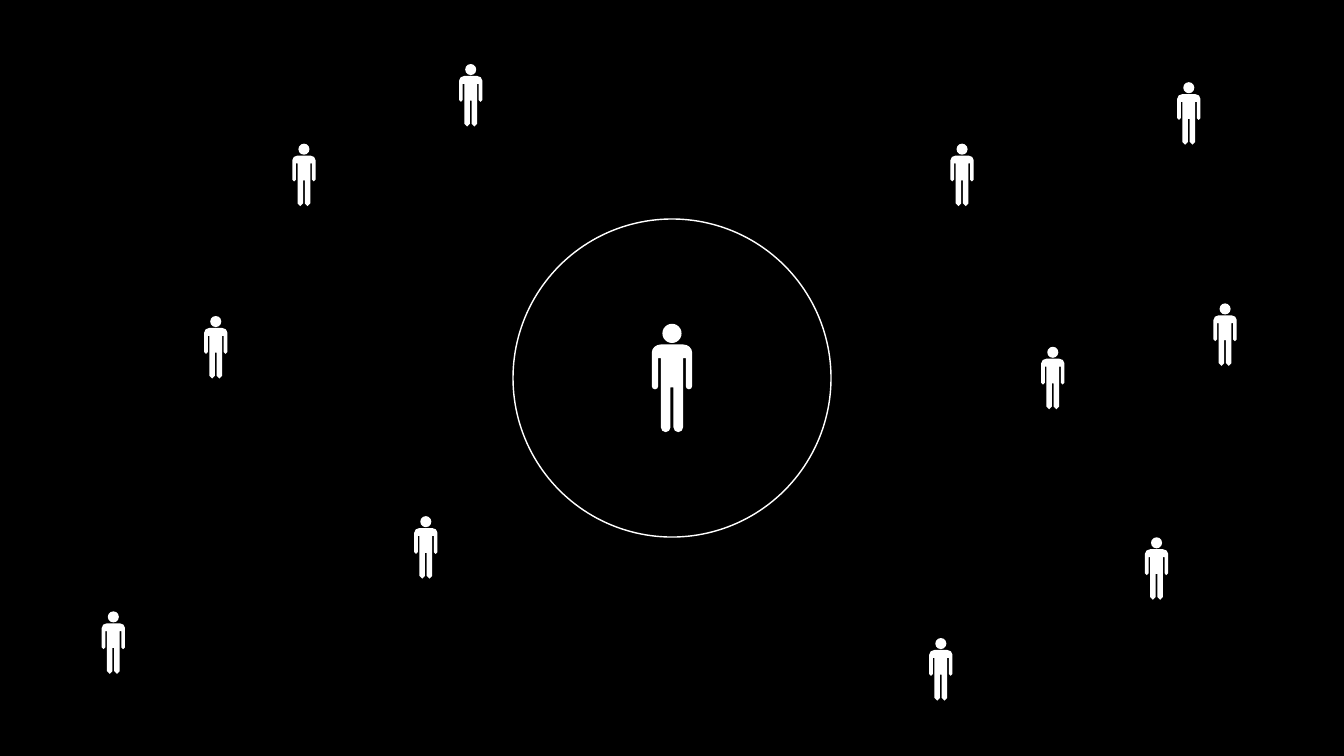
import math

import pptx
import pptx.dml.color
import pptx.enum.shapes
import pptx.util

WIDE = pptx.util.Inches(26.67)
HIGH = pptx.util.Inches(15)

# A person is drawn on a grid of 800 columns and 2150 rows
COLS, ROWS = 800, 2150

# Left and top of each person in the crowd, in percent of the slide
CROWD = [
    (21.75, 19), (15.19, 41.8), (30.82, 68.27), (70.72, 19),
    (34.16, 8.47), (90.29, 40.13), (69.14, 84.4), (77.47, 45.87),
    (87.59, 10.87), (85.19, 71.07), (7.57, 80.87),
]
SMALL, LARGE, RING = 8.27, 14.33, 42.07  # percent of slide height


def color(code):
    return pptx.dml.color.RGBColor.from_string(code)


def arc(x, y, wide, high, start, end, steps):
    """Points on an ellipse around x, y; angles run clockwise from the right."""
    turns = [math.radians(start + (end - start) * i / steps)
             for i in range(steps + 1)]
    return [(x + wide * math.cos(t), y + high * math.sin(t)) for t in turns]


def outline(steps):
    """Head and body of a person, with the given steps to each small arc."""
    head = arc(400, 190, 190, 190, 0, 360, 6 * steps)[:-1]
    half = [
        (400, 410),
        *arc(620, 570, 180, 160, -90, 0, steps),   # shoulder
        *arc(737, 1237, 63, 63, 0, 180, steps),    # hand
        (674, 680), (620, 680),                    # armpit
        *arc(525, 2055, 95, 95, 0, 180, steps),    # foot
        (430, 1260),                               # crotch
    ]
    body = half + [(COLS - x, y) for x, y in reversed(half[1:])]
    return head, body


def person(slide, left, top, high, steps):
    head, body = outline(steps)
    pen = slide.shapes.build_freeform(*head[0], scale=high / ROWS)
    pen.add_line_segments(head[1:], close=True)
    pen.move_to(*body[0])
    pen.add_line_segments(body[1:], close=True)
    shape = pen.convert_to_shape(int(left), int(top))
    shape.shadow.inherit = False
    shape.fill.solid()
    shape.fill.fore_color.rgb = color("FFFFFF")
    shape.line.fill.background()


def ring(slide, left, top, size):
    shape = slide.shapes.add_shape(
        pptx.enum.shapes.MSO_SHAPE.OVAL,
        int(left), int(top), int(size), int(size))
    shape.shadow.inherit = False
    shape.fill.background()
    shape.line.color.rgb = color("FFFFFF")
    shape.line.width = pptx.util.Pt(2)


def center(slide):
    """One large person in a ring, in the middle of the slide."""
    high = HIGH * LARGE / 100
    left = (WIDE - high * COLS / ROWS) / 2
    person(slide, left, (HIGH - high) / 2, high, steps=4)
    size = HIGH * RING / 100
    ring(slide, (WIDE - size) / 2, (HIGH - size) / 2, size)


def crowd(slide):
    """Small people scattered around the ring."""
    high = HIGH * SMALL / 100
    for left, top in CROWD:
        person(slide, WIDE * left / 100, HIGH * top / 100, high, steps=2)


def main():
    deck = pptx.Presentation()
    deck.slide_width, deck.slide_height = WIDE, HIGH
    slide = deck.slides.add_slide(deck.slide_layouts[6])
    slide.background.fill.solid()
    slide.background.fill.fore_color.rgb = color("000000")
    center(slide)
    crowd(slide)
    deck.save("out.pptx")


if __name__ == "__main__":
    main()
